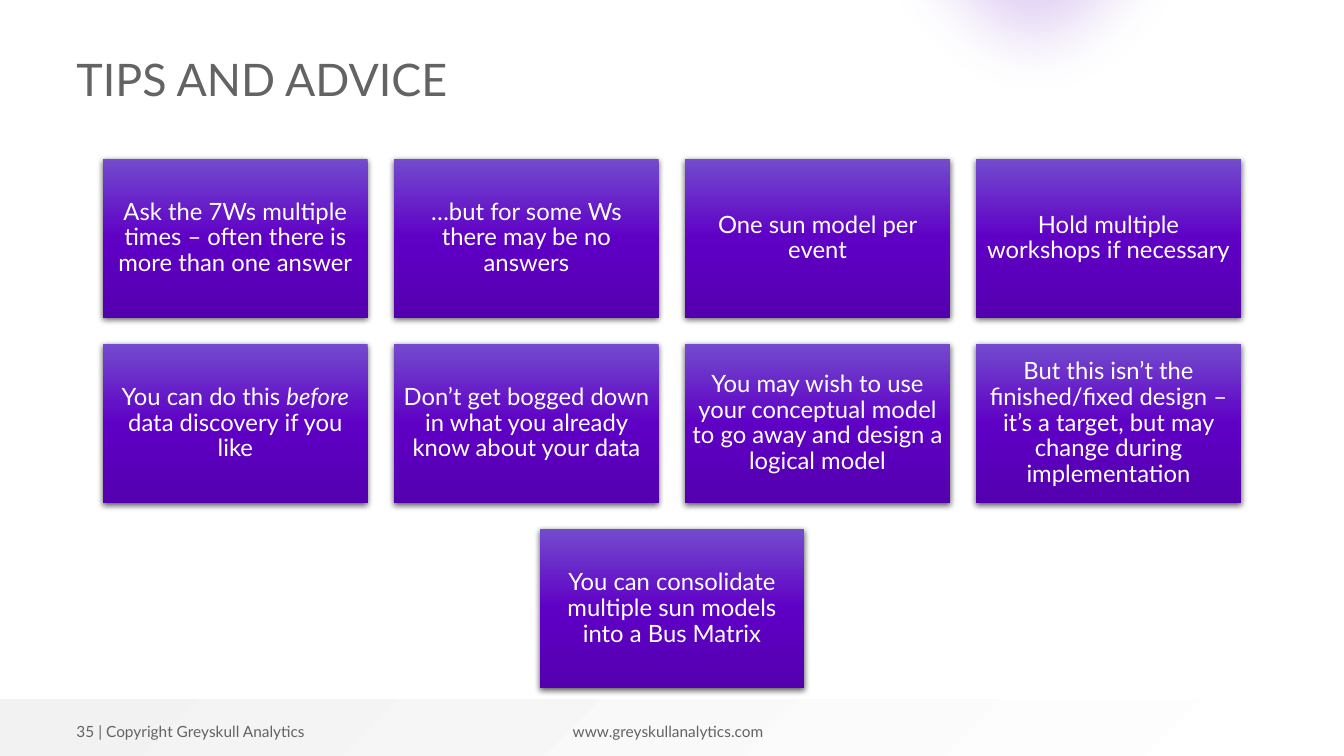
from dataclasses import dataclass

from lxml.etree import SubElement
from pptx import Presentation
from pptx.dml.color import RGBColor
from pptx.enum.shapes import MSO_SHAPE
from pptx.enum.text import MSO_ANCHOR, PP_ALIGN
from pptx.oxml.ns import qn
from pptx.slide import Slide
from pptx.util import Pt

SLIDE_WIDTH, SLIDE_HEIGHT = 960, 540
GREY = RGBColor(0x63, 0x63, 0x63)
PALE_GREY = RGBColor(0xF2, 0xF2, 0xF2)
WHITE = RGBColor(0xFF, 0xFF, 0xFF)
BLACK = RGBColor(0x00, 0x00, 0x00)
LIGHT_PURPLE = RGBColor(0x73, 0x4B, 0xCD)
PURPLE = RGBColor(0x5F, 0x00, 0xC5)
DARK_PURPLE = RGBColor(0x54, 0x00, 0xAF)

TIP_ROWS = [
    [
        ["Ask the 7Ws multiple times – often there is more than one answer"],
        ["…but for some Ws there may be no answers"],
        ["One sun model per event"],
        ["Hold multiple workshops if necessary"],
    ],
    [
        ["You can do this ", "before", " data discovery if you like"],
        ["Don’t get bogged down in what you already know about your data"],
        ["You may wish to use your conceptual model to go away and design a logical model"],
        ["But this isn’t the finished/fixed design – it’s a target, but may change during implementation"],
    ],
    [["You can consolidate multiple sun models into a Bus Matrix"]],
]
CARD_WIDTH, CARD_HEIGHT, CARD_GAP, CARDS_TOP = 189, 113.4, 18.9, 113.4


def add_color(parent, color, alpha=None):
    srgb = SubElement(parent, qn("a:srgbClr"), val=str(color))
    if alpha is not None:
        SubElement(srgb, qn("a:alpha"), val=str(alpha * 1000))


@dataclass
class TipsSlide:
    slide: Slide
    font: str = "Lato"

    def text(self, left, top, width, height, words, size,
             align=PP_ALIGN.LEFT, anchor=MSO_ANCHOR.TOP):
        box = self.slide.shapes.add_textbox(Pt(left), Pt(top), Pt(width), Pt(height))
        frame = box.text_frame
        frame.word_wrap = True
        frame.vertical_anchor = anchor
        frame.text = words
        frame.paragraphs[0].alignment = align
        self.format_run(frame.paragraphs[0].runs[0], size, GREY)

    def format_run(self, run, size, color):
        run.font.name = self.font
        run.font.size = Pt(size)
        run.font.color.rgb = color

    def shape(self, kind, left, top, width, height):
        shape = self.slide.shapes.add_shape(
            kind, Pt(left), Pt(top), Pt(width), Pt(height))
        shape.shadow.inherit = False
        shape.line.fill.background()
        return shape

    def gradient_box(self, left, top, width, height, colors, angle):
        box = self.shape(MSO_SHAPE.RECTANGLE, left, top, width, height)
        box.fill.gradient()
        box.fill.gradient_angle = 360 - angle
        stops = box._element.spPr.find(".//" + qn("a:gsLst"))
        stops.clear()
        for index, color in enumerate(colors):
            position = 100000 * index // (len(colors) - 1)
            add_color(SubElement(stops, qn("a:gs"), pos=str(position)), color)
        return box

    def glow(self, left, top, diameter, color, alpha, softness):
        glow = self.shape(MSO_SHAPE.OVAL, left, top, diameter, diameter)
        glow.fill.solid()
        glow.fill.fore_color.rgb = color
        properties = glow._element.spPr
        srgb = properties.find(qn("a:solidFill")).find(qn("a:srgbClr"))
        SubElement(srgb, qn("a:alpha"), val=str(alpha * 1000))
        effects = properties.find(qn("a:effectLst"))
        SubElement(effects, qn("a:softEdge"), rad=str(Pt(softness)))

    def card(self, left, top, pieces):
        card = self.gradient_box(left, top, CARD_WIDTH, CARD_HEIGHT,
                                 [LIGHT_PURPLE, PURPLE, DARK_PURPLE], 90)
        effects = card._element.spPr.find(qn("a:effectLst"))
        shadow = SubElement(effects, qn("a:outerShdw"), blurRad=str(Pt(4.5)),
                            dist=str(Pt(1.5)), dir="5400000",
                            algn="ctr", rotWithShape="0")
        add_color(shadow, BLACK, 63)
        frame = card.text_frame
        frame.word_wrap = True
        frame.vertical_anchor = MSO_ANCHOR.MIDDLE
        frame.margin_left = frame.margin_right = Pt(5)
        frame.margin_top = frame.margin_bottom = Pt(5)
        tip = frame.paragraphs[0]
        tip.alignment = PP_ALIGN.CENTER
        tip.line_spacing = 0.9
        for index, piece in enumerate(pieces):
            run = tip.add_run()
            run.text = piece
            self.format_run(run, 17, WHITE)
            if index == 1:
                run.font.italic = True


def main():
    presentation = Presentation()
    presentation.slide_width = Pt(SLIDE_WIDTH)
    presentation.slide_height = Pt(SLIDE_HEIGHT)
    tips = TipsSlide(presentation.slides.add_slide(presentation.slide_layouts[6]))

    tips.gradient_box(0, 499.5, SLIDE_WIDTH, 40.5, [PALE_GREY, WHITE], 45)
    tips.text(47.5, 512, 212, 21, "35 | Copyright Greyskull Analytics", 11)
    tips.text(385, 512, 184.5, 21, "www.greyskullanalytics.com", 11, PP_ALIGN.CENTER)
    tips.glow(604, -180.5, 269, PURPLE, 20, 50)
    tips.text(47.5, 33, 864, 46, "TIPS AND ADVICE", 32, anchor=MSO_ANCHOR.MIDDLE)

    for row, row_tips in enumerate(TIP_ROWS):
        row_width = len(row_tips) * (CARD_WIDTH + CARD_GAP) - CARD_GAP
        row_left = (SLIDE_WIDTH - row_width) / 2
        top = CARDS_TOP + row * (CARD_HEIGHT + CARD_GAP)
        for column, pieces in enumerate(row_tips):
            tips.card(row_left + column * (CARD_WIDTH + CARD_GAP), top, pieces)

    presentation.save("out.pptx")


if __name__ == "__main__":
    main()
